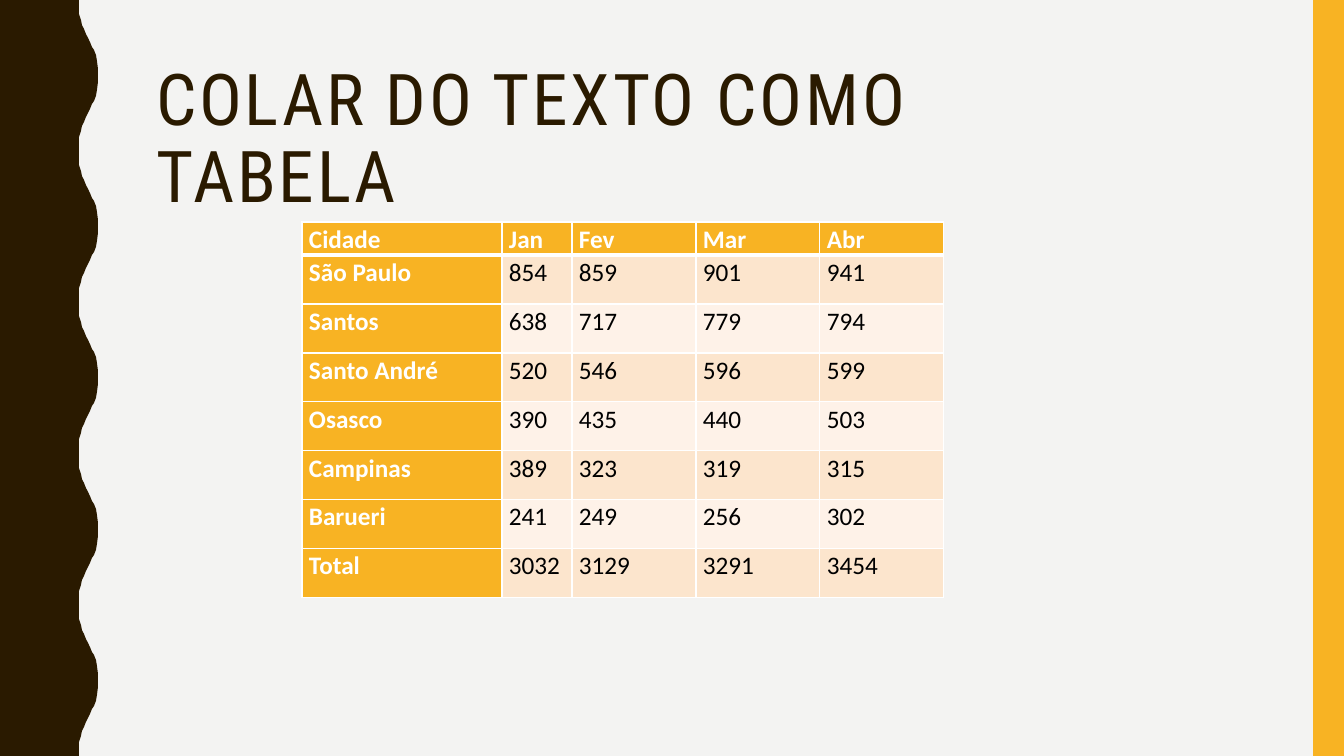
"""Builds a slide with a wavy side band, a title and a table of monthly values by city."""
from lxml import etree
from pptx import Presentation
from pptx.dml.color import RGBColor
from pptx.enum import shapes, text
from pptx.oxml import ns
from pptx.util import Pt

PX = 9144000 / 1008
DARK, GOLD, WHITE, BLACK = "2A1A00", "F8B323", "FFFFFF", "000000"
BANDS = ["FCE5CD", "FEF2E8"]


def paint(fill, color):
    fill.solid()
    fill.fore_color.rgb = RGBColor.from_string(color)


def write(frame, words, font, size, color, spacing):
    para = frame.paragraphs[0]
    para.alignment = text.PP_ALIGN.LEFT
    para.line_spacing = spacing
    run = para.add_run()
    run.text = words
    run.font.name = font
    run.font.size = Pt(size)
    run.font.color.rgb = RGBColor.from_string(color)
    return run


deck = Presentation()
deck.slide_width, deck.slide_height = int(1344 * PX), int(756 * PX)
slide = deck.slides.add_slide(deck.slide_layouts[5])
paint(slide.background.fill, "F3F3F2")

half = [(79, 0), (79, 7), (79, 14), (81, 20), (82, 25), (84, 29), (86, 34), (88, 38),
        (90, 42), (92, 47), (94, 50), (96, 55), (97, 61), (98, 69), (98, 76)]
wave = half + [(x, 151 - y) for x, y in reversed(half[:-1])]
edge = [(x, y + round(151.2 * turn)) for turn in range(5) for x, y in wave]
pen = slide.shapes.build_freeform(0, 0, scale=PX)
pen.add_line_segments(edge + [(79, 756), (0, 756)], close=True)
band = pen.convert_to_shape()
strip = slide.shapes.add_shape(shapes.MSO_SHAPE.RECTANGLE, int(1313 * PX), 0,
                               int(31 * PX), int(756 * PX))
for shape, color in [(band, DARK), (strip, GOLD)]:
    shape.shadow.inherit = False
    paint(shape.fill, color)
    shape.line.fill.background()

title = slide.shapes.title
title.left, title.top, title.width, title.height = [int(n * PX) for n in (146, 59, 983, 141)]
frame = title.text_frame
frame.word_wrap = True
frame.auto_size = text.MSO_AUTO_SIZE.NONE
frame.vertical_anchor = text.MSO_ANCHOR.TOP
run = write(frame, "COLAR DO TEXTO COMO TABELA", "Roboto Condensed", 51, DARK, 0.9)
run.font._element.set("spc", "200")

rows = [
    ("Cidade", "Jan", "Fev", "Mar", "Abr"),
    ("São Paulo", 854, 859, 901, 941),
    ("Santos", 638, 717, 779, 794),
    ("Santo André", 520, 546, 596, 599),
    ("Osasco", 390, 435, 440, 503),
    ("Campinas", 389, 323, 319, 315),
    ("Barueri", 241, 249, 256, 302),
    ("Total", 3032, 3129, 3291, 3454),
]
widths = [200, 70, 124, 124, 124]
heights = [33] + [49] * 7
table = slide.shapes.add_table(len(rows), len(widths), int(302 * PX), int(222 * PX),
                               int(sum(widths) * PX), int(sum(heights) * PX)).table
for col, width in zip(table.columns, widths):
    col.width = int(width * PX)
for r, row in enumerate(rows):
    table.rows[r].height = int(heights[r] * PX)
    for c, value in enumerate(row):
        cell = table.cell(r, c)
        head = r == 0 or c == 0
        cell.margin_left = cell.margin_right = int(7 * PX)
        cell.margin_top = cell.margin_bottom = 0
        cell.vertical_anchor = text.MSO_ANCHOR.TOP
        run = write(cell.text_frame, str(value), "Calibri", 18, WHITE if head else BLACK, 1.07)
        run.font.bold = head
        props = cell._tc.get_or_add_tcPr()
        for side in "LRTB":
            thick = (r, side) in [(0, "B"), (1, "T")]
            line = etree.SubElement(props, ns.qn("a:ln" + side), w=str(Pt(3 if thick else 1)))
            solid = etree.SubElement(line, ns.qn("a:solidFill"))
            etree.SubElement(solid, ns.qn("a:srgbClr"), val=WHITE)
        paint(cell.fill, GOLD if head else BANDS[(r - 1) % 2])

deck.save("out.pptx")
